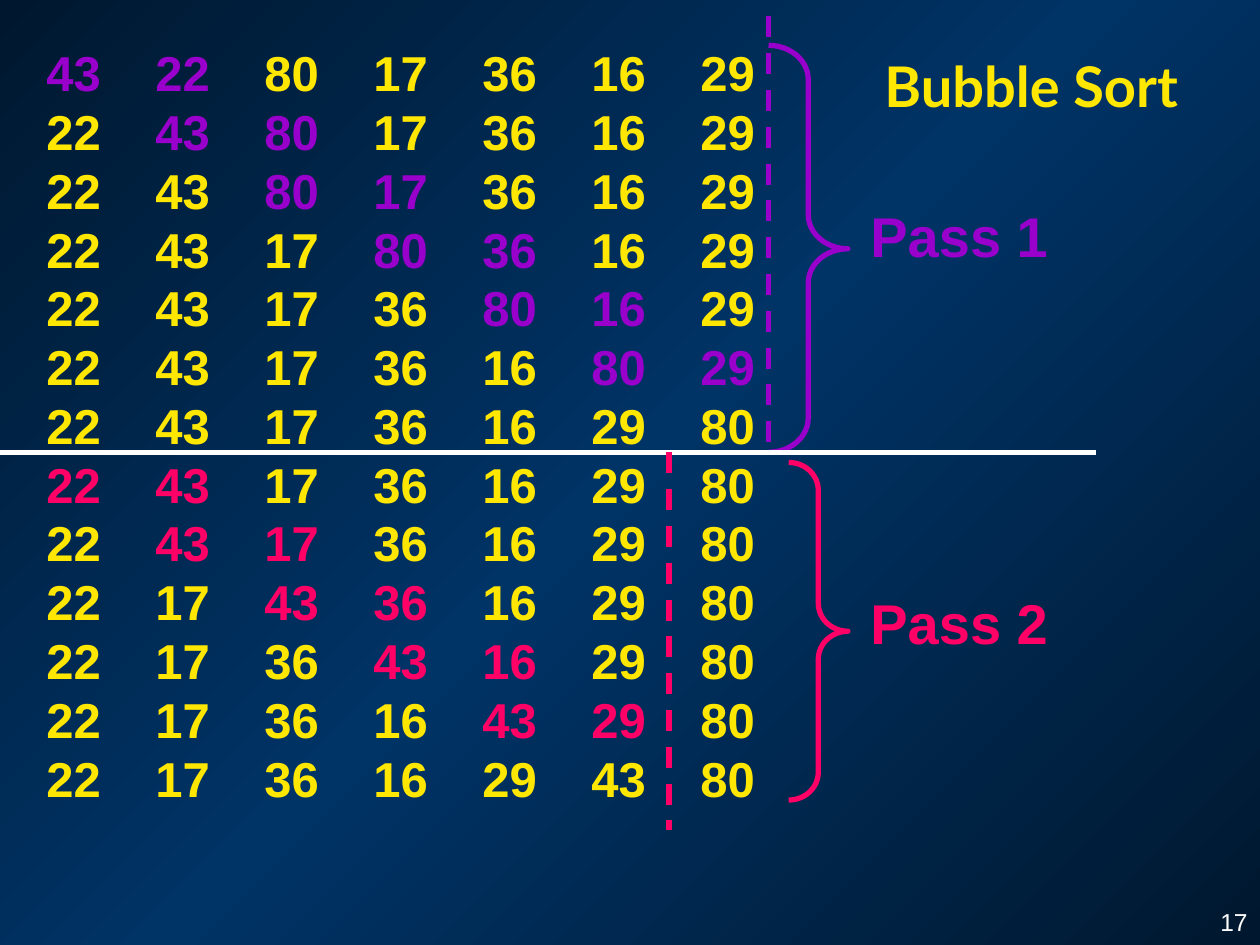
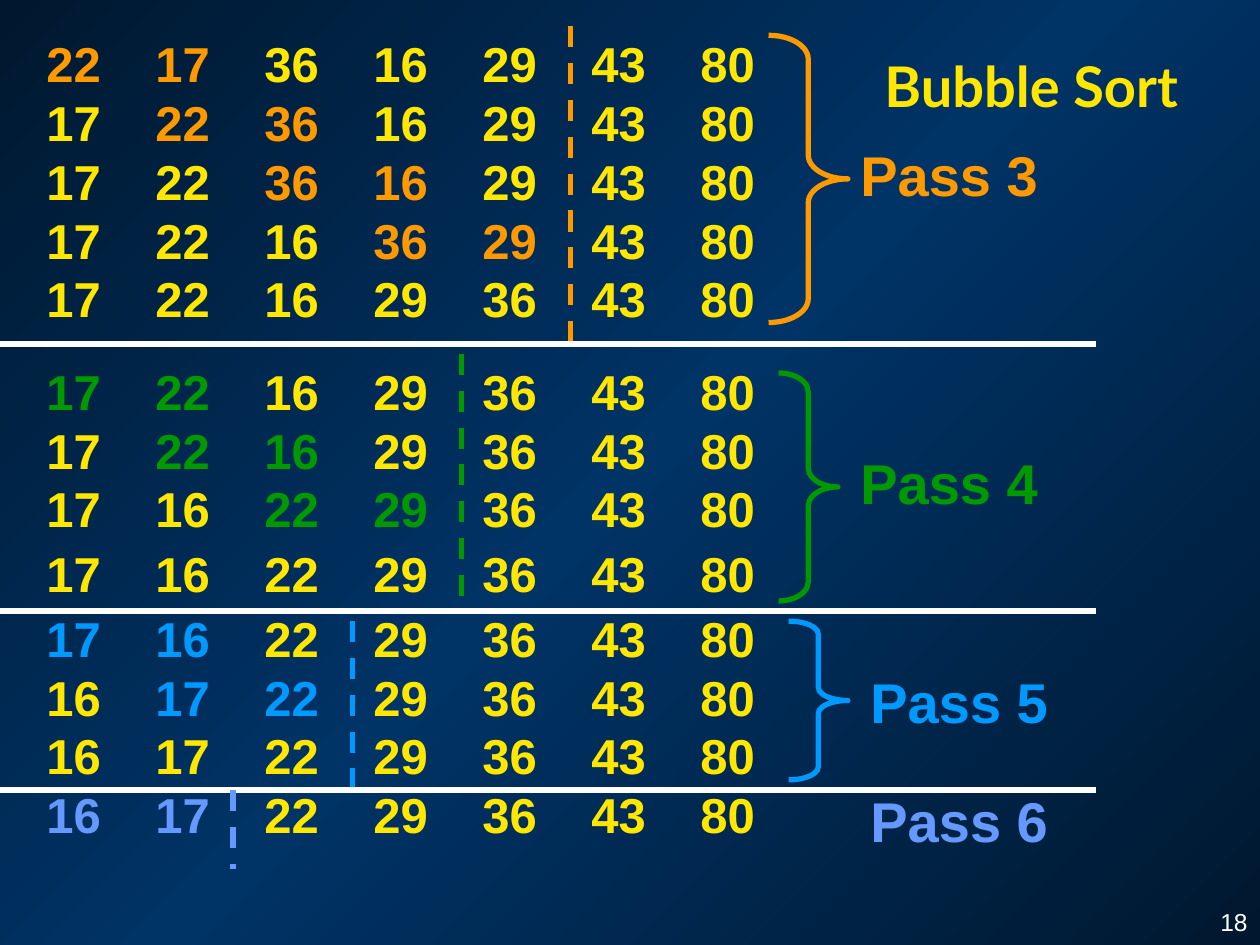
from itertools import groupby

from pptx import Presentation
from pptx.dml.color import RGBColor
from pptx.enum import dml, shapes, text
from pptx.oxml import parse_xml
from pptx.oxml.ns import nsdecls, qn
from pptx.util import Inches, Pt

YELLOW, WHITE = "FFE701", "FFFFFF"
DARK, MID = "00182F", "003366"
BODY_FONT, TITLE_FONT = "Arial", "Lato"
NUMBERS = [43, 22, 80, 17, 36, 16, 29]
ROW_PT = 33.6           # height of a row of numbers
COLUMN = 5.19 / 6       # distance between columns
RULE_RIGHT = 8.7

# Where the marks of each pass stand: brace is a box plus its curl,
# divider is x, top, bottom; rule is the line below the pass
PASSES = {
    1: dict(color="9900CC", brace=(6.1, 0.36, 0.63, 3.23, 0.43),
            divider=(6.1, 0.13, 3.59), label=(6.81, 1.55), rule=3.59),
    2: dict(color="FF0066", brace=(6.26, 3.67, 0.47, 2.68, 0.47),
            divider=(5.31, 3.59, 6.59), label=(6.81, 4.62)),
    3: dict(color="FF9900", brace=(6.1, 0.28, 0.63, 2.28, 0.3),
            divider=(4.53, 0.21, 2.81), label=(6.73, 1.07), rule=2.73),
    4: dict(color="009900", brace=(6.18, 2.96, 0.47, 1.81, 0.32),
            divider=(3.66, 2.81, 4.77), label=(6.73, 3.51), rule=4.85),
    5: dict(color="0099FF", brace=(6.26, 4.93, 0.47, 1.26, 0.22),
            divider=(2.8, 4.93, 6.35), label=(6.81, 5.25), rule=6.27),
    6: dict(color="6699FF", divider=(1.85, 6.27, 6.9), label=(6.81, 6.19)),
}
# Rows with other spacing, by pass and row
GAP_BEFORE = {(4, 0): 19.2}
STRETCH = {(4, 3): 1.1, (5, 0): 1.1}


def rgb(value):
    return RGBColor.from_string(value)


def bubble_sort(numbers):
    """Give, for each pass, its rows as (values, index of the compared pair)."""
    values, passes = list(numbers), {}
    for n in range(1, len(values)):
        rows = []
        for i in range(len(values) - n):
            rows.append((list(values), i))
            if values[i] > values[i + 1]:
                values[i], values[i + 1] = values[i + 1], values[i]
        if n < len(values) - 1:
            rows.append((list(values), None))
        passes[n] = rows
    return passes


def add_run(p, content, color, size, bold=True, name=BODY_FONT):
    r = p.add_run()
    r.text = content
    for key, value in dict(size=Pt(size), bold=bold, name=name).items():
        setattr(r.font, key, value)
    r.font.color.rgb = rgb(color)


def add_text(slide, box, wrap=True, anchor=text.MSO_ANCHOR.TOP):
    tf = slide.shapes.add_textbox(*map(Inches, box)).text_frame
    tf.word_wrap, tf.vertical_anchor = wrap, anchor
    return tf


def add_line(slide, x1, y1, x2, y2, color, dashed=False):
    sp = slide.shapes.add_connector(shapes.MSO_CONNECTOR.STRAIGHT,
                                    *map(Inches, (x1, y1, x2, y2)))
    sp.line.color.rgb, sp.line.width = rgb(color), Pt(3)
    if dashed:
        sp.line.dash_style = dml.MSO_LINE.DASH
    sp._element.spPr.append(parse_xml(f"<a:effectLst {nsdecls('a')}/>"))


def add_brace(slide, left, top, width, height, curl, color):
    sp = slide.shapes.add_shape(shapes.MSO_SHAPE.RIGHT_BRACE,
                                *map(Inches, (left, top, width, height)))
    sp.adjustments[0], sp.adjustments[1] = curl, 0.5
    sp.shadow.inherit = False
    sp.fill.background()
    sp.line.color.rgb, sp.line.width = rgb(color), Pt(3)


def add_background(slide):
    stops = "".join(f'<a:gs pos="{pos}"><a:srgbClr val="{color}"/></a:gs>'
                    for pos, color in ((0, DARK), (50000, MID), (100000, DARK)))
    slide.element.cSld.insert(0, parse_xml(
        f'<p:bg {nsdecls("p", "a")}><p:bgPr><a:gradFill rotWithShape="0">'
        f'<a:gsLst>{stops}</a:gsLst><a:lin ang="2700000" scaled="1"/>'
        '</a:gradFill><a:effectLst/></p:bgPr></p:bg>'))


def set_columns(p, count):
    tabs = parse_xml(f"<a:tabLst {nsdecls('a')}/>")
    for i in range(1, count):
        tab = tabs.makeelement(qn("a:tab"),
                               {"pos": str(Inches(COLUMN * i)), "algn": "l"})
        tabs.append(tab)
    p._p.get_or_add_pPr().append(tabs)


def add_rows(slide, box, numbers, passes):
    """Write the rows of the given passes, with the compared pairs coloured."""
    tf = add_text(slide, box)
    p = tf.paragraphs[0]
    for n in numbers:
        for k, (values, pair) in enumerate(passes[n]):
            if p is None:
                p = tf.add_paragraph()
            p.line_spacing = Pt(ROW_PT * STRETCH.get((n, k), 1))
            p.space_before = Pt(GAP_BEFORE.get((n, k), 0))
            set_columns(p, len(values))
            cells = [(PASSES[n]["color"] if pair is not None and i in (pair, pair + 1)
                      else YELLOW, f"\t{v}" if i else str(v))
                     for i, v in enumerate(values)]
            for color, group in groupby(cells, key=lambda cell: cell[0]):
                add_run(p, "".join(cell[1] for cell in group), color, 28)
            p = None


def add_pass_marks(slide, n, color, label, divider, brace=None, rule=None):
    """Draw the brace, divider, label and closing rule of one pass."""
    if brace:
        add_brace(slide, *brace, color)
    x, top, bottom = divider
    add_line(slide, x, top, x, bottom, color, dashed=True)
    tf = add_text(slide, (*label, 1.61, 0.63), wrap=False)
    add_run(tf.paragraphs[0], f"Pass {n}", color, 32)
    if rule:
        add_line(slide, 0, rule, RULE_RIGHT, rule, WHITE)


def add_sort_slide(prs, number, rows_box, numbers, passes):
    slide = prs.slides.add_slide(prs.slide_layouts[6])
    add_background(slide)

    # Title
    p = add_text(slide, (6.57, 0.28, 3.23, 0.79),
                 anchor=text.MSO_ANCHOR.MIDDLE).paragraphs[0]
    p.alignment = text.PP_ALIGN.CENTER
    add_run(p, "Bubble Sort", YELLOW, 32, name=TITLE_FONT)

    # Numbers and pass marks
    add_rows(slide, rows_box, numbers, passes)
    for n in numbers:
        add_pass_marks(slide, n, **PASSES[n])

    # Slide number
    p = add_text(slide, (7.67, 7.15, 2.33, 0.35)).paragraphs[0]
    p.alignment = text.PP_ALIGN.RIGHT
    add_run(p, str(number), WHITE, 14, bold=False)


def main():
    prs = Presentation()
    prs.slide_width, prs.slide_height = Inches(10), Inches(7.5)
    passes = bubble_sort(NUMBERS)
    add_sort_slide(prs, 17, (0.27, 0.29, 5.82, 6.17), (1, 2), passes)
    add_sort_slide(prs, 18, (0.27, 0.22, 5.93, 6.53), (3, 4, 5, 6), passes)
    prs.save("out.pptx")


if __name__ == "__main__":
    main()
